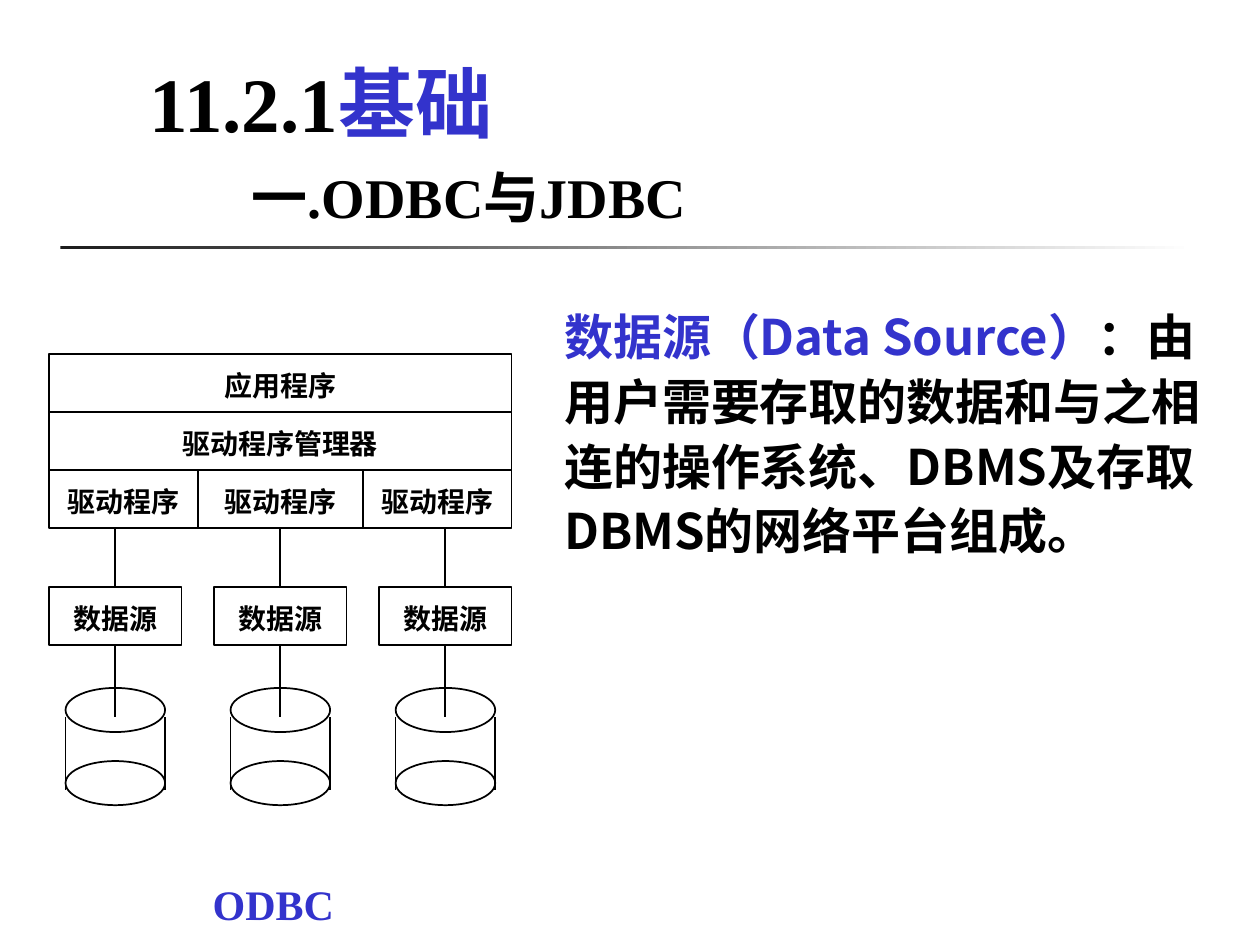
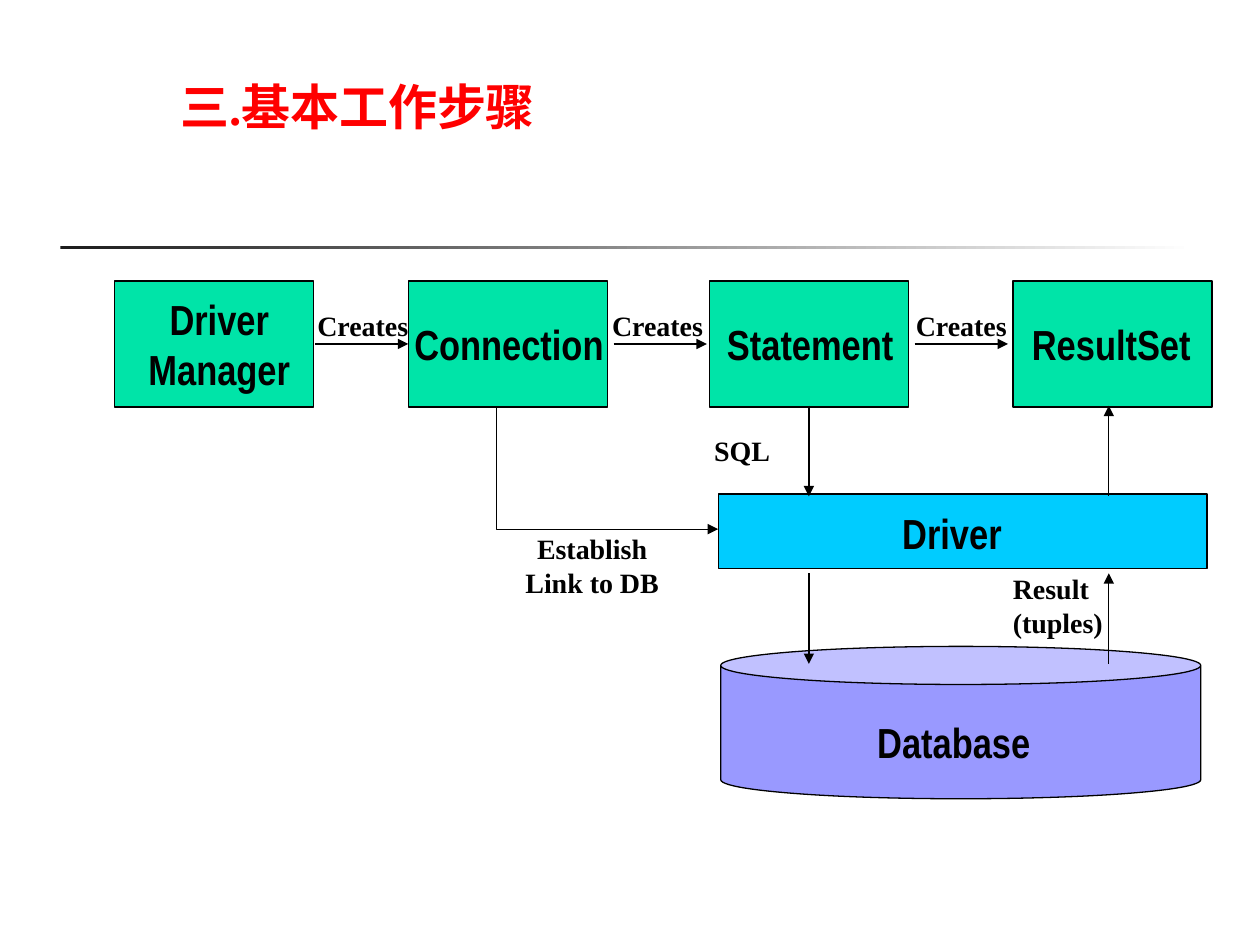
import pptx
import pptx.dml.color
import pptx.enum.shapes
import pptx.enum.text
import pptx.oxml
import pptx.oxml.ns
import pptx.util
from pptx.util import Inches

SHAPE = pptx.enum.shapes.MSO_SHAPE
STRAIGHT = pptx.enum.shapes.MSO_CONNECTOR.STRAIGHT
ALIGN = pptx.enum.text.PP_ALIGN
SERIF, NARROW, CHINESE = "Times New Roman", "Arial Narrow", "Noto Sans CJK SC"
BLACK, BLUE, RED = "000000", "3333CC", "FF0000"
GREEN, CYAN, LILAC = "00E4A8", "00CCFF", "9999FF"
BAND_START, BAND_END = "1C1C1C", "FFFFFF"
TITLE_ONLY = 5


def write(box, text, size=16, font=SERIF, color=BLACK, tail="", tail_color=BLACK,
          align=ALIGN.LEFT, spacing=1.0, margins=(0.1, 0.05), wrap=True):
    """Fill a box with bold text, one paragraph a line; tail ends the last one."""
    frame = box.text_frame
    frame.word_wrap = wrap
    frame.auto_size = pptx.enum.text.MSO_AUTO_SIZE.NONE
    frame.vertical_anchor = pptx.enum.text.MSO_ANCHOR.TOP
    frame.margin_left = frame.margin_right = Inches(margins[0])
    frame.margin_top = frame.margin_bottom = Inches(margins[1])
    lines = text.split("\n")
    for index, line in enumerate(lines):
        para = frame.add_paragraph() if index else frame.paragraphs[0]
        para.alignment = align
        para.line_spacing = spacing
        para.space_before = pptx.util.Pt(0)
        spans = [(line, color)]
        if tail and index == len(lines) - 1:
            spans.append((tail, tail_color))
        for words, shade in spans:
            span = para.add_run()
            span.text = words
            span.font.size = pptx.util.Pt(size)
            span.font.bold = True
            span.font.name = font
            span.font.color.rgb = pptx.dml.color.RGBColor.from_string(shade)
            east_asian = pptx.oxml.parse_xml(
                f'<a:ea {pptx.oxml.ns.nsdecls("a")} typeface="{CHINESE}"/>')
            span.font.color  # colour precedes the typefaces
            span.font._element.find(pptx.oxml.ns.qn("a:latin")).addnext(east_asian)


def paint(shape, width, fill=None, arrow=None):
    """Give a black line, an optional fill or arrowhead, and no shadow."""
    shape.line.color.rgb = pptx.dml.color.RGBColor.from_string(BLACK)
    shape.line.width = pptx.util.Pt(width)
    if fill:
        shape.fill.solid()
        shape.fill.fore_color.rgb = pptx.dml.color.RGBColor.from_string(fill)
    elif hasattr(shape, "fill"):
        shape.fill.background()
    properties = shape.element.spPr
    namespace = pptx.oxml.ns.nsdecls("a")
    if arrow:
        properties.find(pptx.oxml.ns.qn("a:ln")).append(
            pptx.oxml.parse_xml(f'<a:{arrow} {namespace} type="triangle"/>'))
    properties.append(pptx.oxml.parse_xml(f"<a:effectLst {namespace}/>"))


deck = pptx.Presentation()
deck.slide_width, deck.slide_height = Inches(10), Inches(7.5)

# Shared parts: title placeholder and gradient band
titles = [
    ((1.09, 0.39, 7.92, 0.84),
     dict(text="11.2.1", size=44, tail="基础", tail_color=BLUE)),
    ((1.33, 0.56, 7.92, 0.57),
     dict(text="三.基本工作步骤", size=28, color=RED)),
]
for place, title in titles:
    page = deck.slides.add_slide(deck.slide_layouts[TITLE_ONLY])
    heading = page.shapes.title
    heading.left, heading.top, heading.width, heading.height = map(Inches, place)
    write(heading, **title)
    band = page.shapes.add_shape(
        SHAPE.RECTANGLE, Inches(0.48), Inches(1.95), Inches(9), Inches(0.03))
    band.shadow.inherit = False
    band.line.fill.background()
    band.fill.gradient()
    band.fill.gradient_angle = 0
    for stop, shade in zip(band.fill.gradient_stops, (BAND_START, BAND_END)):
        stop.color.rgb = pptx.dml.color.RGBColor.from_string(shade)

# Slide 1: ODBC layers
shapes = deck.slides[0].shapes
left, pitch, row_height = 0.39, 1.31, 0.46
layers = [
    ("应用程序", left, 2.81, 3.67),
    ("驱动程序管理器", left, 3.27, 3.67),
    ("驱动程序", left, 3.73, 1.18),
    ("驱动程序", 1.57, 3.73, 1.31),
    ("驱动程序", 2.88, 3.73, 1.18),
]
layers += [("数据源", left + column * pitch, 4.66, 1.05) for column in range(3)]
for label, x, y, width in layers:
    layer = shapes.add_shape(
        SHAPE.RECTANGLE, Inches(x), Inches(y), Inches(width), Inches(row_height))
    paint(layer, 1)
    write(layer, label, align=ALIGN.CENTER, spacing=1.4, margins=(0.01, 0.01))

for column in range(3):
    drum_left = 0.52 + column * pitch
    middle, drum_right = drum_left + 0.39, drum_left + 0.79
    for y in (5.46, 6.04):
        rim = shapes.add_shape(
            SHAPE.OVAL, Inches(drum_left), Inches(y), Inches(0.79), Inches(0.35))
        paint(rim, 1)
    for x, start, end in ((middle, 4.19, 4.66), (middle, 5.12, 5.69),
                          (drum_left, 5.69, 6.27), (drum_right, 5.69, 6.27)):
        link = shapes.add_connector(
            STRAIGHT, Inches(x), Inches(start), Inches(x), Inches(end))
        paint(link, 1)

notes = [
    ((4.38, 2.34, 5.35, 2.16),
     dict(text="数据源（Data Source）", size=28, font=CHINESE, color=BLUE, spacing=1.1,
          tail="：由用户需要存取的数据和与之相连的操作系统、DBMS及存取DBMS的网络平台组成。")),
    ((1.59, 6.92, 1.16, 0.5), dict(text="ODBC", size=24, color=BLUE, wrap=False)),
    ((1.9, 1.24, 7.03, 0.64), dict(text="一.ODBC与JDBC", size=32)),
]
for place, note in notes:
    write(shapes.add_textbox(*map(Inches, place)), **note)

# Slide 2: JDBC working steps
shapes = deck.slides[1].shapes
stages = [
    (SHAPE.RECTANGLE, GREEN, (0.91, 2.23, 1.58, 1),
     "Driver\nManager", (1.08, 2.28, 1.32, 0.9)),
    (SHAPE.RECTANGLE, GREEN, (3.24, 2.23, 1.58, 1),
     "Connection", (3.19, 2.48, 1.7, 0.5)),
    (SHAPE.RECTANGLE, GREEN, (5.63, 2.23, 1.58, 1),
     "Statement", (5.67, 2.48, 1.52, 0.5)),
    (SHAPE.RECTANGLE, GREEN, (8.04, 2.23, 1.58, 1),
     "ResultSet", (8.09, 2.48, 1.46, 0.5)),
    (SHAPE.RECTANGLE, CYAN, (5.7, 3.92, 3.88, 0.59),
     "Driver", (7.06, 3.98, 0.99, 0.5)),
    (SHAPE.CAN, LILAC, (5.72, 5.13, 3.81, 1.21),
     "Database", (6.86, 5.64, 1.42, 0.5)),
]
for outline, fill, place, label, label_place in stages:
    stage = shapes.add_shape(outline, *map(Inches, place))
    paint(stage, 0.75, fill=fill)
    write(shapes.add_textbox(*map(Inches, label_place)), label, size=24,
          font=NARROW, align=ALIGN.CENTER, wrap=False)

arrows = [(x, 2.73, x + 0.74, 2.73, "tailEnd") for x in (2.5, 4.87, 7.26)]
for x, end in ((6.42, "tailEnd"), (8.8, "headEnd")):
    arrows += [(x, y, x, y + 0.72, end) for y in (3.22, 4.55)]
for *ends, arrowhead in arrows:
    arrow = shapes.add_connector(STRAIGHT, *map(Inches, ends))
    paint(arrow, 0.75, arrow=arrowhead)

elbow = shapes.build_freeform(Inches(3.94), Inches(3.24))
elbow.add_line_segments(
    [(Inches(3.94), Inches(4.2)), (Inches(5.7), Inches(4.2))], close=False)
paint(elbow.convert_to_shape(), 0.75, arrow="tailEnd")

captions = [("Creates", (x, 2.4, 0.93, 0.37), ALIGN.LEFT) for x in (2.42, 4.76, 7.17)]
captions += [
    ("SQL", (5.57, 3.39, 0.64, 0.37), ALIGN.LEFT),
    ("Result\n(tuples)", (7.94, 4.49, 0.91, 0.63), ALIGN.LEFT),
    ("Establish\nLink to DB", (4.07, 4.17, 1.26, 0.63), ALIGN.CENTER),
]
for caption, place, align in captions:
    write(shapes.add_textbox(*map(Inches, place)), caption, align=align, wrap=False)

deck.save("out.pptx")
